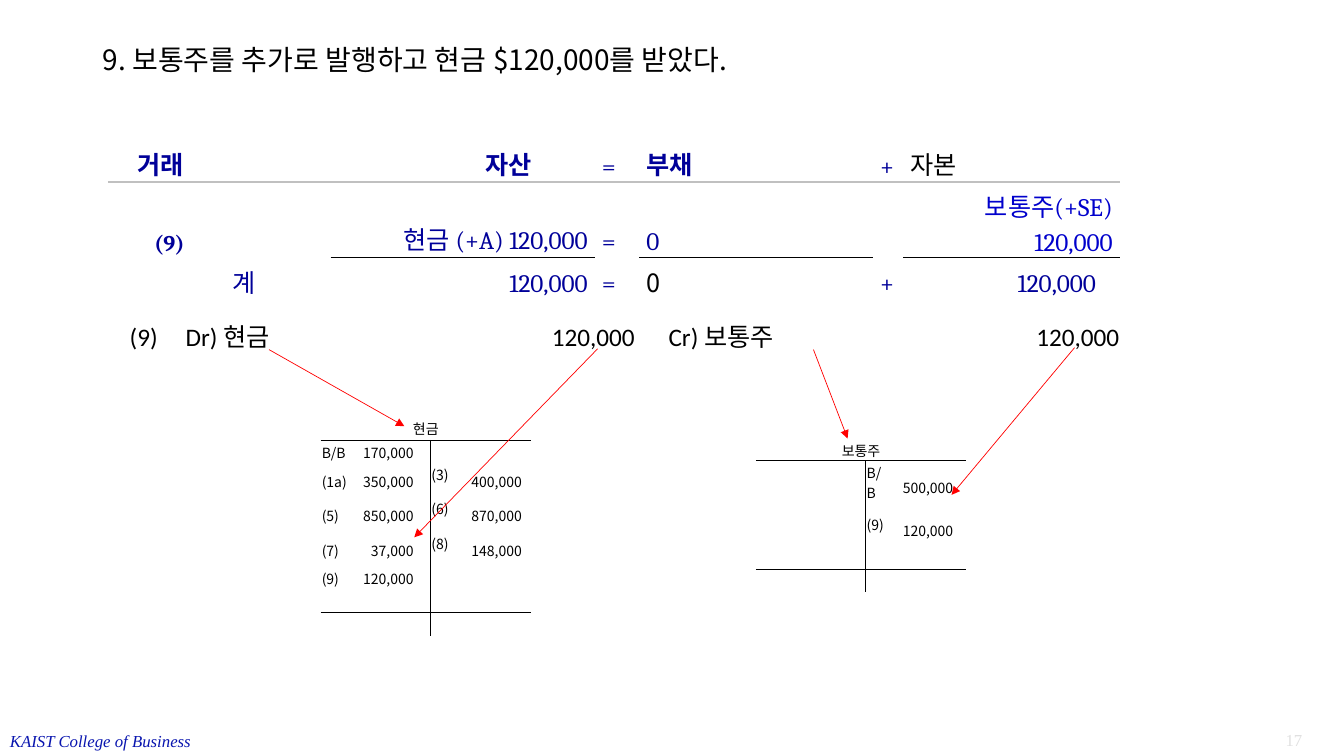
"""Slide on recording a common stock issue: equation, journal entry and T-accounts."""
import pptx
import pptx.dml.color
import pptx.enum.shapes
import pptx.enum.text
import pptx.oxml
import pptx.oxml.ns
import pptx.util
from lxml import etree

Cm = pptx.util.Cm
Pt = pptx.util.Pt
RGBColor = pptx.dml.color.RGBColor
ALIGN = pptx.enum.text.PP_ALIGN
ANCHOR = pptx.enum.text.MSO_ANCHOR
qn = pptx.oxml.ns.qn

BLACK = RGBColor(0x00, 0x00, 0x00)
WHITE = RGBColor(0xFF, 0xFF, 0xFF)
NAVY = RGBColor(0x00, 0x00, 0x99)
BLUE = RGBColor(0x00, 0x00, 0xCC)
FOOTER_BLUE = RGBColor(0x09, 0x15, 0xAF)
PALE_GRAY = RGBColor(0xE0, 0xE0, 0xE0)
SILVER = RGBColor(0xC0, 0xC0, 0xC0)
RED = RGBColor(0xFF, 0x00, 0x00)

KOREAN = "Noto Sans CJK KR"
NO_GRID_STYLE = "{2D5ABB26-0587-4C30-8999-92F81FD0307C}"


class LedgerSlide:
    """Draws text, tables and arrows on one slide in a shared style."""

    def __init__(self, deck):
        self.slide = deck.slides.add_slide(deck.slide_layouts[6])
        self.shapes = self.slide.shapes

    def add_words(self, paragraph, text, font, color, layout):
        """Put one formatted run in a paragraph."""
        for key, value in layout.items():
            setattr(paragraph, key, value)
        run = paragraph.add_run()
        run.text = text
        for key, value in font.items():
            setattr(run.font, key, value)
        run.font.color.rgb = color
        east_asian = etree.SubElement(run.font._element, qn("a:ea"))
        east_asian.set("typeface", KOREAN)

    def text(self, box, text, font, color, layout=None, frame=None, tabs=()):
        """Add a text box with optional (position, side) tab stops."""
        text_frame = self.shapes.add_textbox(*map(Cm, box)).text_frame
        for key, value in {"word_wrap": True, **(frame or {})}.items():
            setattr(text_frame, key, value)
        paragraph = text_frame.paragraphs[0]
        if tabs:
            stops = etree.SubElement(paragraph._p.get_or_add_pPr(), qn("a:tabLst"))
            for position, side in tabs:
                etree.SubElement(stops, qn("a:tab"), pos=str(Cm(position)), algn=side)
        self.add_words(paragraph, text, font, color, layout or {})

    def table(self, corner, widths, heights, margins, fill=None):
        """Add an unstyled table with the given column widths and row heights."""
        size = (sum(widths), sum(heights))
        grid = self.shapes.add_table(
            len(heights), len(widths), *map(Cm, corner + size)).table
        for flag in ("first_row", "horz_banding"):
            setattr(grid, flag, False)
        grid._tbl.tblPr.find(qn("a:tableStyleId")).text = NO_GRID_STYLE
        for column, width in zip(grid.columns, widths):
            column.width = Cm(width)
        for row, height in zip(grid.rows, heights):
            row.height = Cm(height)
        for cell in grid.iter_cells():
            for side, margin in margins.items():
                setattr(cell, side, Cm(margin))
            if fill is None:
                cell.fill.background()
            else:
                cell.fill.solid()
                cell.fill.fore_color.rgb = fill
            etree.SubElement(cell.text_frame.paragraphs[0]._p, qn("a:endParaRPr"), sz="600")
        return grid

    def fill_cell(self, cell, text, font, color, layout=None, place=None):
        """Put text into a cell with its own anchor and margins."""
        for key, value in (place or {}).items():
            setattr(cell, key, value)
        self.add_words(cell.text_frame.paragraphs[0], text, font, color, layout or {})

    def border(self, cells, side, color, points):
        """Rule one side of each cell; call bottom before right."""
        for cell in cells:
            line = etree.Element(qn("a:" + side), w=str(Pt(points)))
            paint = etree.SubElement(line, qn("a:solidFill"))
            etree.SubElement(paint, qn("a:srgbClr"), val=str(color))
            cell._tc.get_or_add_tcPr().insert(0, line)

    def t_account(self, corner, heights, name, entries, credit_margin):
        """Draw a T-account from (row, column, text) entries."""
        margins = {"margin_left": 0.03, "margin_right": 0.03,
                   "margin_top": 0.03, "margin_bottom": 0}
        account = self.table(corner, (0.91, 1.85, 0.69, 1.85), heights, margins)
        font = {"name": KOREAN, "size": Pt(10)}
        account.cell(0, 0).merge(account.cell(0, 3))
        self.fill_cell(account.cell(0, 0), name, font, BLACK,
                       {"alignment": ALIGN.CENTER}, {"vertical_anchor": ANCHOR.MIDDLE})
        middle = {"vertical_anchor": ANCHOR.MIDDLE}
        formats = [
            ({}, middle),
            ({"alignment": ALIGN.RIGHT}, {**middle, "margin_right": Cm(0.42)}),
            ({}, {"vertical_anchor": ANCHOR.TOP, "margin_right": Cm(0.1)}),
            ({"alignment": ALIGN.RIGHT}, {**middle, "margin_right": Cm(credit_margin)}),
        ]
        for row, column, text in entries:
            self.fill_cell(account.cell(row, column), text, font, BLACK, *formats[column])
        for row in (0, len(heights) - 2):
            self.border([account.cell(row, column) for column in range(4)], "lnB", BLACK, 0.5)
        stem = [account.cell(row, 1) for row in range(1, len(heights))]
        self.border(stem, "lnR", BLACK, 0.5)

    def arrow(self, *ends):
        """Add a thin red arrow."""
        link = self.shapes.add_connector(
            pptx.enum.shapes.MSO_CONNECTOR.STRAIGHT, *map(Cm, ends))
        link.line.color.rgb = RED
        link.line.width = Pt(0.5)
        etree.SubElement(link.line._get_or_add_ln(), qn("a:tailEnd"), type="triangle")
        etree.SubElement(link._element.spPr, qn("a:effectLst"))


def draw_equation(page):
    """Draw the accounting equation table."""
    widths = (1.65, 0.41, 0.41, 0.25, 2.84, 2.31, 1.63, 0.81, 1.91,
              1.12, 5.89, 0.76, 5.46, 0.69, 0.41)
    margins = {"margin_left": 0.18, "margin_right": 0.18,
               "margin_top": 0, "margin_bottom": 0}
    equation = page.table((2.72, 2.69), widths, (0.84, 1.06, 1.89, 1.06, 0.48), margins, WHITE)
    spans = [
        [(1, 2), (3, 6)],
        [(0, 4), (6, 8), (13, 14)],
        [(0, 1), (2, 4), (5, 8), (13, 14)],
        [(0, 1), (2, 3), (5, 8), (13, 14)],
        [(0, 1), (2, 4), (5, 8), (13, 14)],
    ]
    for row, pairs in enumerate(spans):
        for first, last in pairs:
            equation.cell(row, first).merge(equation.cell(row, last))
    serif = {"name": "Cambria", "size": Pt(18)}
    bold = {**serif, "bold": True}
    sans = {**serif, "name": KOREAN}
    left, center, right = ALIGN.LEFT, ALIGN.CENTER, ALIGN.RIGHT
    entries = [
        (1, 0, "거래", bold, NAVY, left, {"margin_left": Cm(0.74)}),
        (1, 6, "자산", bold, NAVY, center, {}),
        (1, 9, "=", serif, NAVY, left, {}),
        (1, 10, "부채", bold, NAVY, left, {}),
        (1, 11, "+", serif, NAVY, left, {}),
        (1, 12, "자본", sans, BLACK, left, {}),
        (2, 0, "(9)", {**bold, "size": Pt(16)}, NAVY, right, {}),
        (2, 5, "현금 (+A) 120,000", serif, NAVY, right, {}),
        (2, 9, "=", serif, NAVY, left, {}),
        (2, 10, "0", serif, NAVY, left, {}),
        (2, 12, "보통주(+SE) 120,000", serif, BLUE, right, {}),
        (3, 4, "계", serif, NAVY, left, {"margin_left": Cm(0.38)}),
        (3, 5, "120,000", serif, NAVY, right, {}),
        (3, 9, "=", serif, NAVY, left, {}),
        (3, 10, "0", sans, BLACK, left, {}),
        (3, 11, "+", serif, NAVY, left, {}),
        (3, 12, "120,000", serif, NAVY, right, {"margin_right": Cm(0.6)}),
    ]
    for row, column, text, font, color, side, place in entries:
        page.fill_cell(equation.cell(row, column), text, font, color,
                       {"alignment": side, "line_spacing": 1.15},
                       {"vertical_anchor": ANCHOR.BOTTOM, **place})
    page.border([equation.cell(1, column) for column in range(13)], "lnB", SILVER, 1.5)
    summed = (5, 6, 7, 8, 10, 12)
    page.border([equation.cell(2, column) for column in summed], "lnB", BLACK, 1)


def main():
    deck = pptx.Presentation()
    deck.slide_width, deck.slide_height = Cm(33.87), Cm(19.05)
    page = LedgerSlide(deck)
    footer = {"name": "Times New Roman", "size": Pt(12)}
    page.text((0, 18.29, 5.13, 0.76), "KAIST College of Business",
              {**footer, "italic": True}, FOOTER_BLUE, frame={"word_wrap": False})
    page.text((31, 18.26, 2.07, 0.76), "17", footer, PALE_GRAY, {"alignment": ALIGN.RIGHT})
    page.text((2.34, 1.02, 29.21, 1.07), "9. 보통주를 추가로 발행하고 현금 $120,000를 받았다.",
              {"name": KOREAN, "size": Pt(20)}, BLACK, {"line_spacing": 0.9},
              {"vertical_anchor": ANCHOR.MIDDLE})
    draw_equation(page)
    page.text((3.02, 7.98, 27.18, 1.02), "(9)\tDr) 현금\t120,000\tCr) 보통주\t120,000",
              {"name": "Calibri", "size": Pt(18)}, BLACK,
              tabs=((1.41, "l"), (12.73, "r"), (13.58, "l"), (24.94, "r")))
    debits = [("B/B", "170,000"), ("(1a)", "350,000"), ("(5)", "850,000"),
              ("(7)", "37,000"), ("(9)", "120,000")]
    credits = [("(3)", "400,000"), ("(6)", "870,000"), ("(8)", "148,000")]
    cash = [(row, column, text)
            for first_row, first_column, lines in ((1, 0, debits), (2, 2, credits))
            for row, line in enumerate(lines, first_row)
            for column, text in enumerate(line, first_column)]
    page.t_account((8.08, 10.49), (0.6, 0.58, 0.87, 0.87, 0.87, 0.58, 0.58, 0.58),
                   "현금", cash, 0.23)
    stock = [(1, 2, "B/B"), (1, 3, "500,000"), (2, 2, "(9)"), (2, 3, "120,000")]
    page.t_account((19.05, 11.05), (0.56, 1.31, 0.87, 0.56, 0.56), "보통주", stock, 0.33)
    for ends in ((6.78, 8.81, 10.19, 10.74), (15.06, 8.79, 10.44, 13.54),
                 (20.5, 8.81, 21.36, 11.05), (27.08, 8.76, 23.98, 12.47)):
        page.arrow(*ends)
    deck.save("out.pptx")


if __name__ == "__main__":
    main()
